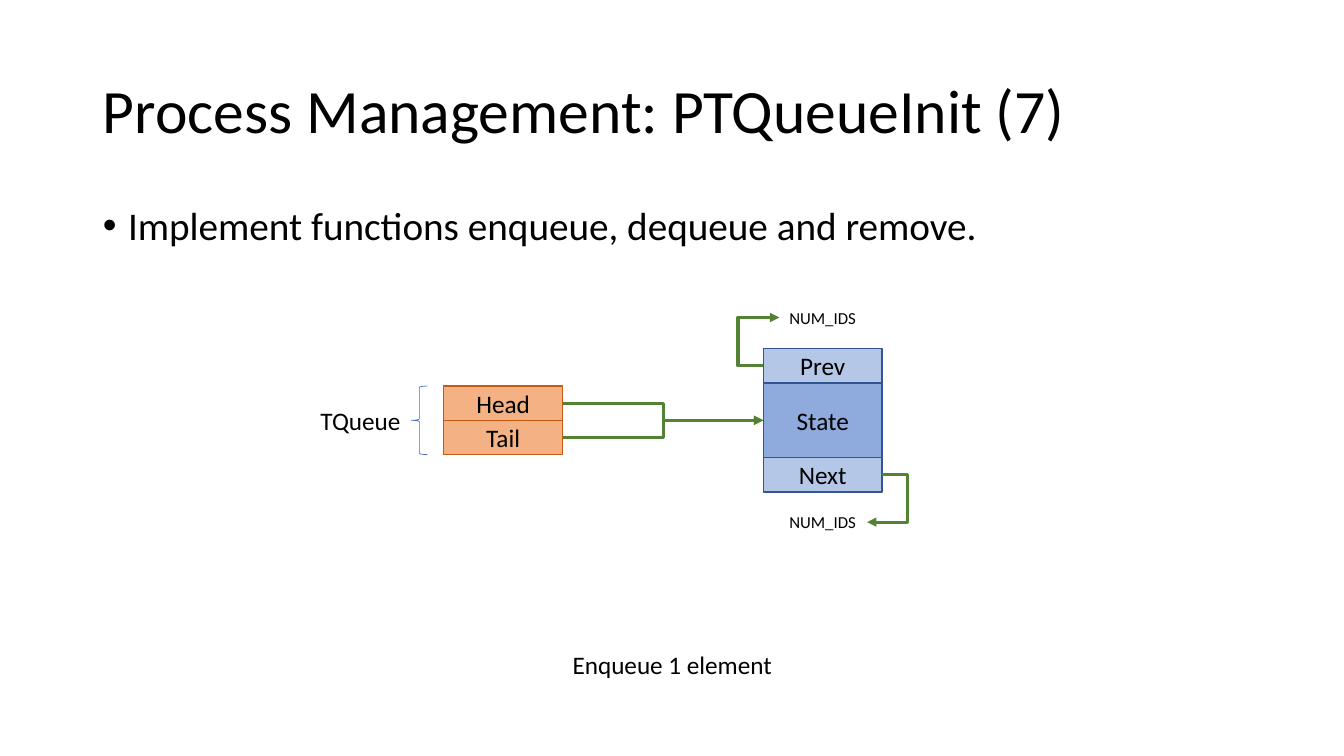
from lxml.etree import SubElement
from pptx import Presentation
from pptx.dml.color import RGBColor
from pptx.enum.shapes import MSO_CONNECTOR, MSO_SHAPE
from pptx.enum.text import MSO_ANCHOR, MSO_AUTO_SIZE, PP_ALIGN
from pptx.oxml.ns import qn
from pptx.util import Emu, Pt

EMU_PER_PX = 9144  # 100 px to the inch
FONT = "Calibri"
COLORS = {
    "text": "000000",
    "queue_fill": "F4B183",
    "queue_edge": "C55A11",
    "state_fill": "8FAADC",
    "state_edge": "2F5597",
    "link_fill": "B4C7E7",
    "link_edge": "325491",
    "brace": "4472C4",
    "arrow": "548235",
}

QUEUE_LEFT, QUEUE_TOP = 440, 383
ELEMENT_LEFT, ELEMENT_TOP = 757, 346
CELL_WIDTH, CELL_HEIGHT, STATE_HEIGHT = 118, 34, 74


def px(*lengths):
    return [Emu(length * EMU_PER_PX) for length in lengths]


def color(name):
    return RGBColor.from_string(COLORS[name])


def format_text(frame, size, align=PP_ALIGN.LEFT):
    for paragraph in frame.paragraphs:
        paragraph.alignment = align
        for run in paragraph.runs:
            run.font.name = FONT
            run.font.size = Pt(size)
            run.font.color.rgb = color("text")


def fill_placeholder(placeholder, text, box, size, anchor):
    placeholder.left, placeholder.top, placeholder.width, placeholder.height = px(*box)
    frame = placeholder.text_frame
    frame.text = text
    frame.vertical_anchor = anchor
    frame.paragraphs[0].line_spacing = 0.9
    format_text(frame, size)
    return frame.paragraphs[0]


def set_bullet(paragraph, indent):
    properties = paragraph._p.get_or_add_pPr()
    properties.set("marL", str(indent * EMU_PER_PX))
    properties.set("indent", str(-indent * EMU_PER_PX))
    SubElement(properties, qn("a:buChar")).set("char", "•")


def add_cell(slide, text, left, top, height, kind):
    cell = slide.shapes.add_shape(
        MSO_SHAPE.RECTANGLE, *px(left, top, CELL_WIDTH, height))
    cell.shadow.inherit = False
    cell.fill.solid()
    cell.fill.fore_color.rgb = color(kind + "_fill")
    cell.line.color.rgb = color(kind + "_edge")
    cell.line.width = Pt(1)
    cell.text_frame.text = text
    cell.text_frame.vertical_anchor = MSO_ANCHOR.MIDDLE
    format_text(cell.text_frame, 18, PP_ALIGN.CENTER)


def add_label(slide, text, box, size):
    frame = slide.shapes.add_textbox(*px(*box)).text_frame
    frame.text = text
    frame.word_wrap = False
    frame.auto_size = MSO_AUTO_SIZE.SHAPE_TO_FIT_TEXT
    format_text(frame, size)


def add_brace(slide, box):
    brace = slide.shapes.add_shape(MSO_SHAPE.LEFT_BRACE, *px(*box))
    brace.shadow.inherit = False
    brace.fill.background()
    brace.line.color.rgb = color("brace")
    brace.line.width = Pt(0.5)


def add_elbow_arrow(slide, start, end, bend_x):
    """Draw an arrow whose vertical leg stands at bend_x."""
    arrow = slide.shapes.add_connector(MSO_CONNECTOR.ELBOW, *px(*start, *end))
    arrow.line.color.rgb = color("arrow")
    arrow.line.width = Pt(2.25)
    SubElement(arrow.line._get_or_add_ln(), qn("a:tailEnd")).set("type", "triangle")
    properties = arrow._element.spPr
    SubElement(properties, qn("a:effectLst"))
    bend = round(100000 * (bend_x - start[0]) / (end[0] - start[0]))
    guide = SubElement(properties.prstGeom.get_or_add_avLst(), qn("a:gd"))
    guide.set("name", "adj1")
    guide.set("fmla", f"val {bend}")


def add_queue(slide):
    for row, text in enumerate(("Head", "Tail")):
        add_cell(slide, text, QUEUE_LEFT, QUEUE_TOP + row * CELL_HEIGHT,
                 CELL_HEIGHT, "queue")
    add_brace(slide, (408, QUEUE_TOP, 16, 2 * CELL_HEIGHT))
    add_label(slide, "TQueue", (308, 397, 101, 40), 18)


def add_element(slide):
    state_top = ELEMENT_TOP + CELL_HEIGHT
    next_top = state_top + STATE_HEIGHT
    add_cell(slide, "State", ELEMENT_LEFT, state_top, STATE_HEIGHT, "state")
    for text, top in (("Prev", ELEMENT_TOP), ("Next", next_top)):
        add_cell(slide, text, ELEMENT_LEFT, top, CELL_HEIGHT, "link")
    for top in (300, 503):
        add_label(slide, "NUM_IDS", (773, top, 87, 30), 12)

    right = ELEMENT_LEFT + CELL_WIDTH
    half = CELL_HEIGHT // 2
    add_elbow_arrow(slide, (ELEMENT_LEFT, ELEMENT_TOP + half), (773, 315),
                    ELEMENT_LEFT - 25)
    add_elbow_arrow(slide, (right, next_top + half), (860, 518), right + 25)


def add_queue_arrows(slide):
    start_x = QUEUE_LEFT + CELL_WIDTH
    target = (ELEMENT_LEFT, QUEUE_TOP + CELL_HEIGHT)
    for row in range(2):
        start_y = QUEUE_TOP + row * CELL_HEIGHT + CELL_HEIGHT // 2
        add_elbow_arrow(slide, (start_x, start_y), target, 658)


def main():
    presentation = Presentation()
    presentation.slide_width, presentation.slide_height = px(1333, 750)
    slide = presentation.slides.add_slide(presentation.slide_layouts[1])

    fill_placeholder(slide.shapes.title, "Process Management: PTQueueInit (7)",
                     (92, 40, 1150, 145), 44, MSO_ANCHOR.MIDDLE)
    task = fill_placeholder(slide.placeholders[1],
                            "Implement functions enqueue, dequeue and remove.",
                            (92, 200, 1150, 476), 28, MSO_ANCHOR.TOP)
    task.space_before = Pt(10)
    set_bullet(task, 25)

    add_queue(slide)
    add_element(slide)
    add_queue_arrows(slide)
    add_label(slide, "Enqueue 1 element", (558, 639, 221, 40), 18)
    presentation.save("out.pptx")


if __name__ == "__main__":
    main()
